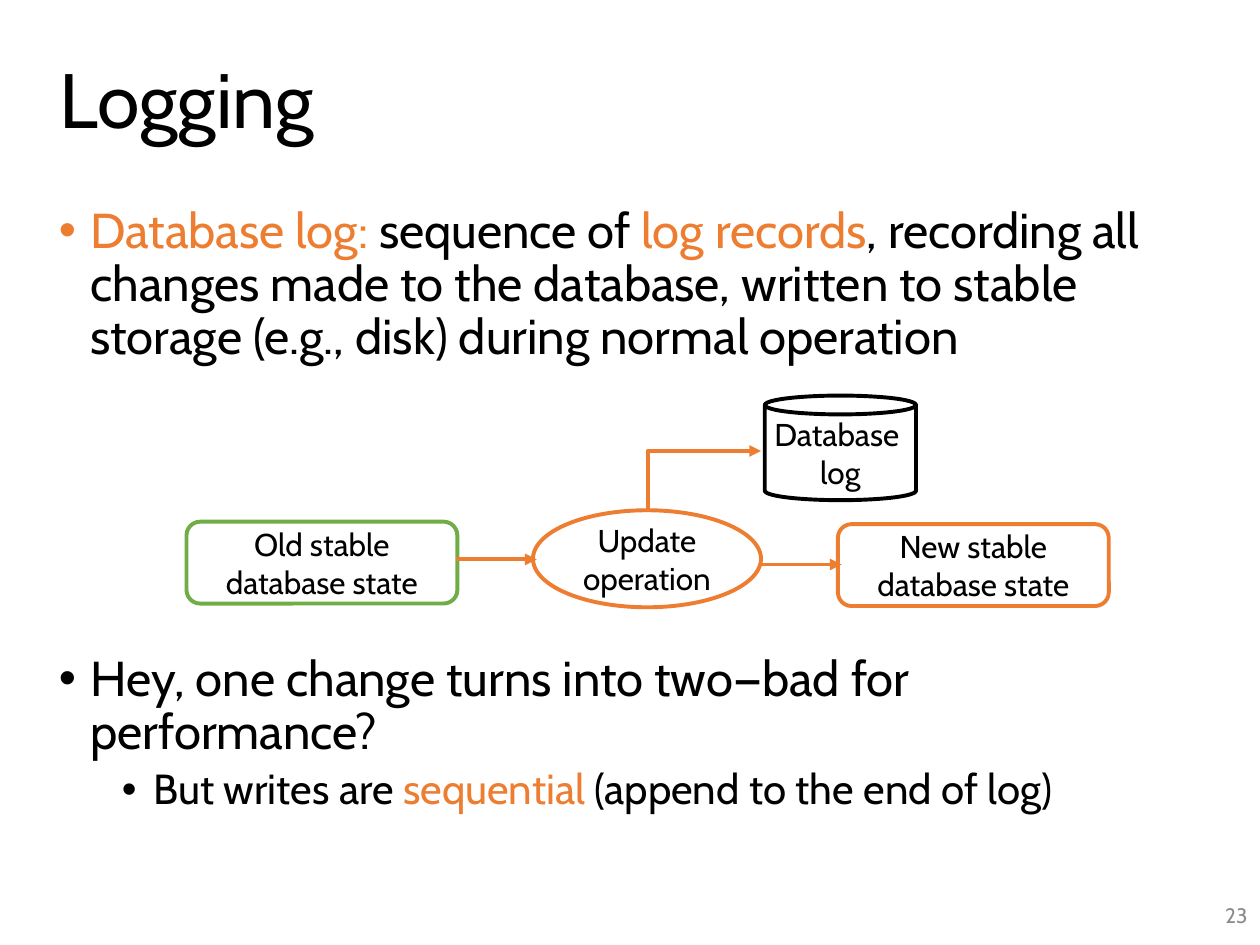
from dataclasses import dataclass

from lxml.etree import SubElement
from pptx import Presentation
from pptx.dml.color import RGBColor
from pptx.enum.shapes import MSO_CONNECTOR, MSO_SHAPE
from pptx.enum.text import MSO_ANCHOR, MSO_AUTO_SIZE, PP_ALIGN
from pptx.oxml.ns import qn
from pptx.util import Inches, Pt


@dataclass(frozen=True)
class Theme:
    font: str = "Cabin"
    black: str = "000000"
    orange: str = "ED7D31"
    green: str = "70AD47"
    gray: str = "8C8C8C"
    title: int = 44
    body: int = 28
    sub: int = 24
    label: int = 18
    number: int = 12
    line: float = 2.25


def set_attrs(obj, values):
    for name, value in values.items():
        setattr(obj, name, value)


class SlideBuilder:
    def __init__(self, prs, theme):
        self.theme = theme
        self.slide = prs.slides.add_slide(prs.slide_layouts[5])
        self.shapes = self.slide.shapes

    def add_text(self, p, runs, size, **fmt):
        """Fill a paragraph with (text, colour) runs; a newline breaks the line."""
        set_attrs(p, fmt)
        for text, color in runs:
            for i, part in enumerate(text.split("\n")):
                if i:
                    p.add_line_break()
                r = p.add_run()
                r.text = part
                set_attrs(r.font, {"name": self.theme.font, "size": Pt(size)})
                r.font.color.rgb = RGBColor.from_string(color)

    def title(self, text, x, y, w, h):
        sp = self.shapes.title
        set_attrs(sp, {"left": Inches(x), "top": Inches(y),
                       "width": Inches(w), "height": Inches(h)})
        tf = sp.text_frame
        set_attrs(tf, {"auto_size": MSO_AUTO_SIZE.NONE, "word_wrap": True,
                       "vertical_anchor": MSO_ANCHOR.MIDDLE})
        self.add_text(tf.paragraphs[0], [(text, self.theme.black)], self.theme.title,
                      alignment=PP_ALIGN.LEFT, line_spacing=0.9)

    def textbox(self, x, y, w, h, anchor=MSO_ANCHOR.TOP):
        sp = self.shapes.add_textbox(Inches(x), Inches(y), Inches(w), Inches(h))
        set_attrs(sp.text_frame, {"word_wrap": True, "vertical_anchor": anchor})
        return sp.text_frame

    def bullets(self, items, x, y, w, h):
        """Each item is (level, points before, runs)."""
        tf = self.textbox(x, y, w, h)
        for i, (level, before, runs) in enumerate(items):
            p = tf.add_paragraph() if i else tf.paragraphs[0]
            size = self.theme.sub if level else self.theme.body
            self.add_text(p, runs, size, level=level, line_spacing=0.9,
                          space_before=Pt(before))
            pPr = p._p.get_or_add_pPr()
            pPr.set("marL", str(Inches(0.25 + 0.5 * level)))
            pPr.set("indent", str(Inches(-0.25)))
            SubElement(pPr, qn("a:buFont"), typeface="Arial")
            SubElement(pPr, qn("a:buChar"), char="•")

    def page_number(self, text, x, y, w, h):
        tf = self.textbox(x, y, w, h, MSO_ANCHOR.MIDDLE)
        self.add_text(tf.paragraphs[0], [(text, self.theme.gray)], self.theme.number,
                      alignment=PP_ALIGN.RIGHT)

    def node(self, kind, text, color, x, y, w, h, wrap=True, adj=None):
        sp = self.shapes.add_shape(kind, Inches(x), Inches(y), Inches(w), Inches(h))
        sp.shadow.inherit = False
        sp.fill.background()
        sp.line.color.rgb = RGBColor.from_string(color)
        sp.line.width = Pt(self.theme.line)
        if adj is not None:
            sp.adjustments[0] = adj
        tf = sp.text_frame
        set_attrs(tf, {"word_wrap": wrap, "vertical_anchor": MSO_ANCHOR.MIDDLE})
        self.add_text(tf.paragraphs[0], [(text, self.theme.black)], self.theme.label,
                      alignment=PP_ALIGN.CENTER)

    def arrow(self, x1, y1, x2, y2, kind=MSO_CONNECTOR.STRAIGHT):
        cxn = self.shapes.add_connector(kind, Inches(x1), Inches(y1),
                                        Inches(x2), Inches(y2))
        cxn.line.color.rgb = RGBColor.from_string(self.theme.orange)
        cxn.line.width = Pt(self.theme.line)
        spPr = cxn._element.spPr
        SubElement(spPr.find(qn("a:ln")), qn("a:tailEnd"), type="triangle")
        SubElement(spPr, qn("a:effectLst"))
        return cxn

    def up_right_arrow(self, x1, y1, x2, y2):
        """One-bend arrow: up from the start, then right to the end."""
        # The frame is stored unrotated, so its sides swap about the centre
        cx, cy = (x1 + x2) / 2, (y1 + y2) / 2
        dx, dy = (y1 - y2) / 2, (x2 - x1) / 2
        cxn = self.arrow(cx + dx, cy + dy, cx - dx, cy - dy, MSO_CONNECTOR.ELBOW)
        spPr = cxn._element.spPr
        spPr.find(qn("a:xfrm")).set("rot", "5400000")
        spPr.find(qn("a:prstGeom")).set("prst", "bentConnector2")


def main():
    prs = Presentation()
    prs.slide_width, prs.slide_height = Inches(10), Inches(7.5)
    t = Theme()
    s = SlideBuilder(prs, t)

    # Title and bullets; the second bullet leaves room for the diagram
    s.title("Logging", 0.37, 0.18, 9.63, 1.29)
    s.bullets([
        (0, 10, [("Database log: ", t.orange), ("sequence of ", t.black),
                 ("log records", t.orange),
                 (", recording all changes made to the database, written to "
                  "stable storage (e.g., disk) during normal operation", t.black)]),
        (0, 165, [("Hey, one change turns into two—bad for performance?", t.black)]),
        (1, 5, [("But writes are ", t.black), ("sequential", t.orange),
                (" (append to the end of log)", t.black)]),
    ], 0.37, 1.59, 8.94, 5.76)
    s.page_number("23", 7.75, 7.06, 2.25, 0.4)

    # Diagram nodes
    box = MSO_SHAPE.ROUNDED_RECTANGLE
    s.node(MSO_SHAPE.OVAL, "Update operation", t.orange, 4.23, 4.05, 1.81, 0.77)
    s.node(box, "Old stable database state", t.green, 1.48, 4.14, 2.15, 0.65)
    s.node(box, "New stable database state", t.orange, 6.65, 4.16, 2.15, 0.65)
    s.node(MSO_SHAPE.CAN, "Database \nlog", t.black, 6.07, 3.14, 1.2, 0.83,
           wrap=False, adj=0.18)

    # Diagram arrows
    s.arrow(3.62, 4.44, 4.26, 4.44)
    s.arrow(6.04, 4.48, 6.68, 4.48)
    s.up_right_arrow(5.14, 4.05, 6.04, 3.58)

    prs.save("out.pptx")


if __name__ == "__main__":
    main()
